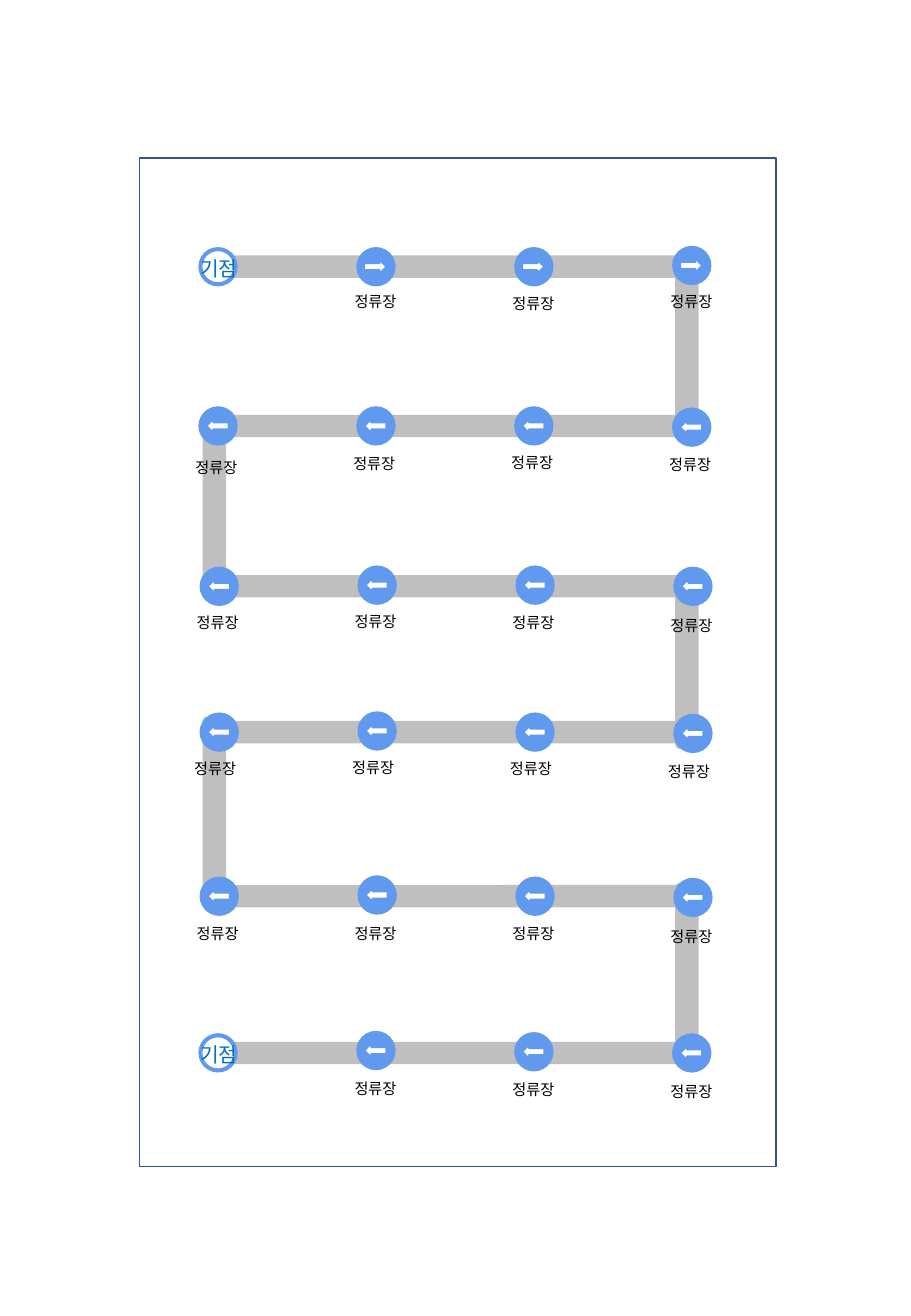
from dataclasses import dataclass

from pptx import Presentation
from pptx.dml.color import RGBColor
from pptx.enum.shapes import MSO_SHAPE
from pptx.enum.text import MSO_AUTO_SIZE, PP_ALIGN
from pptx.util import Pt

RECT, ROUND = MSO_SHAPE.RECTANGLE, MSO_SHAPE.ROUNDED_RECTANGLE
OVAL, ARROW = MSO_SHAPE.OVAL, MSO_SHAPE.RIGHT_ARROW
LEFT, CENTER = PP_ALIGN.LEFT, PP_ALIGN.CENTER
GROW = MSO_AUTO_SIZE.SHAPE_TO_FIT_TEXT

PX = 9144  # 100 px to the inch
PAGE = (750, 1083)
FRAME = (115, 130, 524, 830)

END, STOP = "기점", "정류장"
# One dict per row: turn of its parts, left of bar and stops,
# stop tops, label left, label tops (None where the route ends)
ROWS = [
    dict(turn=0, bar=166, left=164, tops=(204, 204, 204, 203),
         text=152, labels=(None, 236, 237, 236)),
    dict(turn=180, bar=171, left=164, tops=(335, 335, 335, 336),
         text=151, labels=(372, 369, 368, 370)),
    dict(turn=180, bar=172, left=165, tops=(467, 466, 466, 467),
         text=152, labels=(500, 499, 500, 502)),
    dict(turn=180, bar=172, left=165, tops=(587, 586, 587, 588),
         text=150, labels=(620, 619, 620, 622)),
    dict(turn=180, bar=172, left=165, tops=(722, 721, 722, 723),
         text=152, labels=(756, 756, 756, 758)),
    dict(turn=180, bar=172, left=164, tops=(851, 849, 850, 851),
         text=152, labels=(None, 883, 884, 886)),
]
# Links between rows, alternating right and left
LINK_TOPS = (276, 409, 537, 651, 788)
LINK_LEFTS = (496, 107)
LINK_SIZE = (139, 18)

PITCH = 130
BAR_SIZE, BAR_DROP = (412, 17), 7
DISC, HOLE = 31, 27
ARROW_SIZE = (18, 11)
LABEL_SIZE = (58, 25)
END_SIZE, END_LEFT = (82, 30), 139


@dataclass(frozen=True)
class Theme:
    frame: str = "325491"
    road: str = "BFBFBF"
    stop: str = "6099ED"
    white: str = "FFFFFF"
    end: str = "0070C0"
    ink: str = "000000"
    small: int = 9
    large: int = 12
    font: str = "Calibri"
    korean: str = "Noto Sans CJK KR"


T = Theme()


def draw(slide, kind, x, y, w, h, line, fill=None, turn=0):
    shape = slide.shapes.add_shape(kind, x * PX, y * PX, w * PX, h * PX)
    shape.shadow.inherit = False
    shape.rotation = turn
    if fill:
        shape.fill.solid()
        shape.fill.fore_color.rgb = RGBColor.from_string(fill)
    else:
        shape.fill.background()
    shape.line.color.rgb = RGBColor.from_string(line)
    shape.line.width = Pt(1)


def write(slide, text, x, y, w, h, size=T.small, font=T.font,
          color=T.ink, align=LEFT, wrap=False):
    box = slide.shapes.add_textbox(x * PX, y * PX, w * PX, h * PX)
    frame = box.text_frame
    frame.word_wrap = wrap
    frame.auto_size = GROW
    para = frame.paragraphs[0]
    para.alignment = align
    run = para.add_run()
    run.text = text
    run.font.size = Pt(size)
    run.font.name = font
    run.font.color.rgb = RGBColor.from_string(color)


def add_end(slide, x, y):
    inset = (DISC - HOLE) // 2
    draw(slide, OVAL, x, y, DISC, DISC, T.stop, T.stop)
    draw(slide, OVAL, x + inset, y + inset, HOLE, HOLE, T.stop, T.white)
    write(slide, END, END_LEFT, y + inset, *END_SIZE, size=T.large,
          font=T.korean, color=T.end, align=CENTER, wrap=True)


def add_stop(slide, x, y, turn):
    w, h = ARROW_SIZE
    draw(slide, OVAL, x, y, DISC, DISC, T.stop, T.stop, turn)
    draw(slide, ARROW, x + (DISC - w) // 2, y + (DISC - h) // 2, w, h,
         T.stop, T.white, turn)


def add_row(slide, row):
    for col, (top, label) in enumerate(zip(row["tops"], row["labels"])):
        x = row["left"] + col * PITCH
        if label is None:
            add_end(slide, x, top)
        else:
            add_stop(slide, x, top, row["turn"])
            write(slide, STOP, row["text"] + col * PITCH, label, *LABEL_SIZE)


def main():
    deck = Presentation()
    deck.slide_width, deck.slide_height = (side * PX for side in PAGE)
    slide = deck.slides.add_slide(deck.slide_layouts[6])
    draw(slide, RECT, *FRAME, T.frame)
    for i, top in enumerate(LINK_TOPS):
        draw(slide, ROUND, LINK_LEFTS[i % 2], top, *LINK_SIZE,
             T.road, T.road, 270)
    for row in ROWS:
        draw(slide, ROUND, row["bar"], row["tops"][0] + BAR_DROP, *BAR_SIZE,
             T.road, T.road, row["turn"])
    for row in ROWS:
        add_row(slide, row)
    deck.save("out.pptx")


if __name__ == "__main__":
    main()
